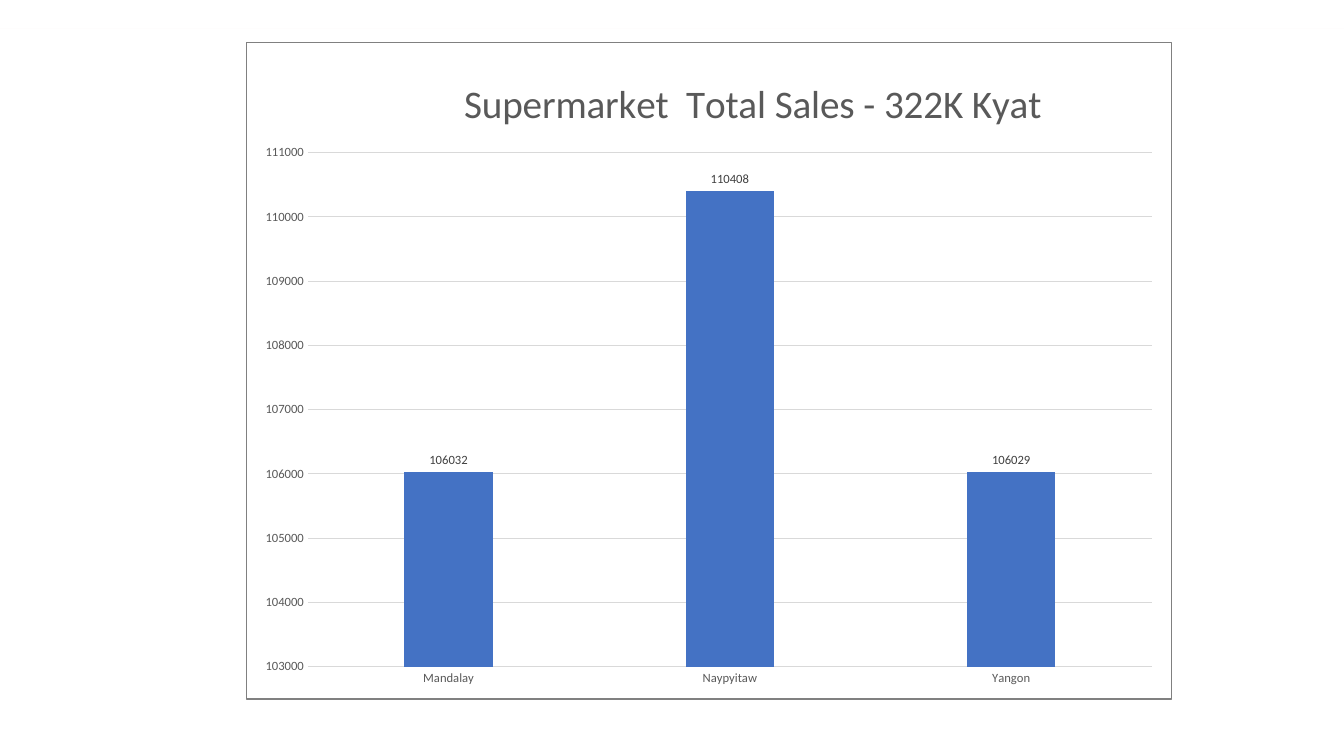
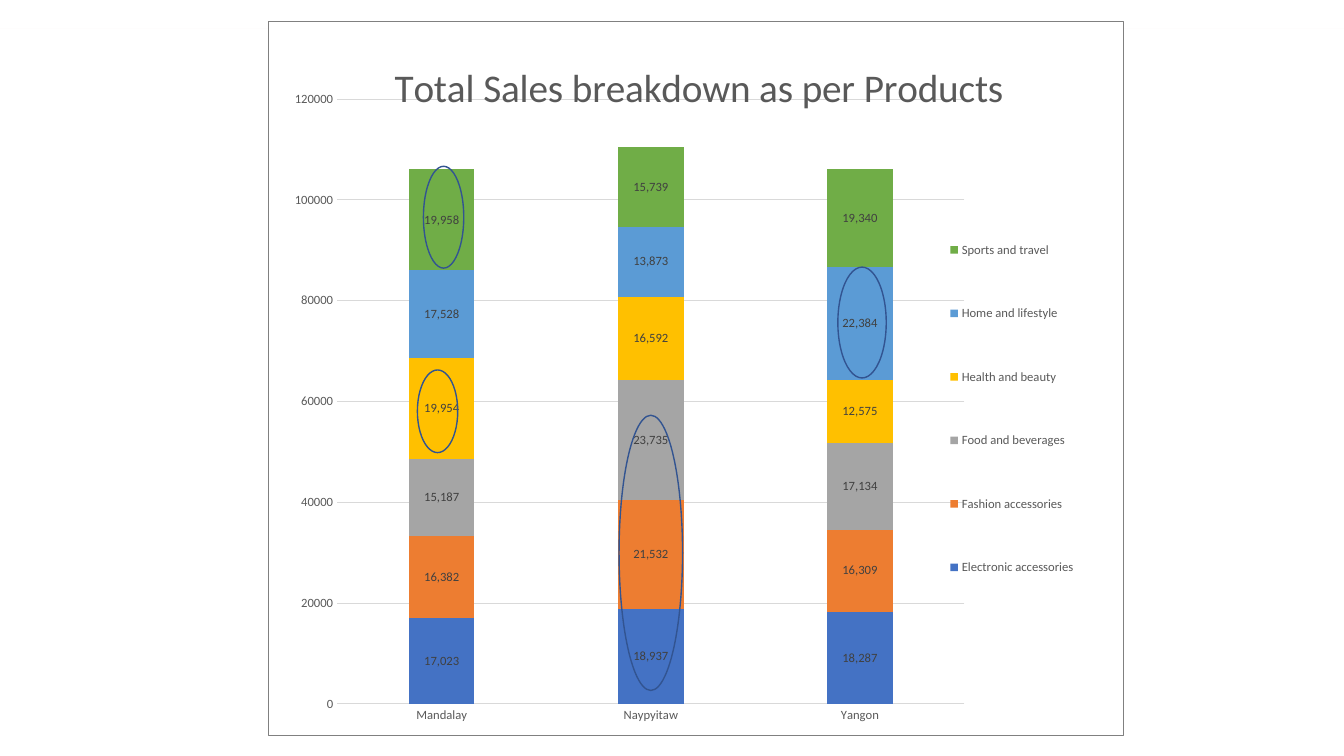
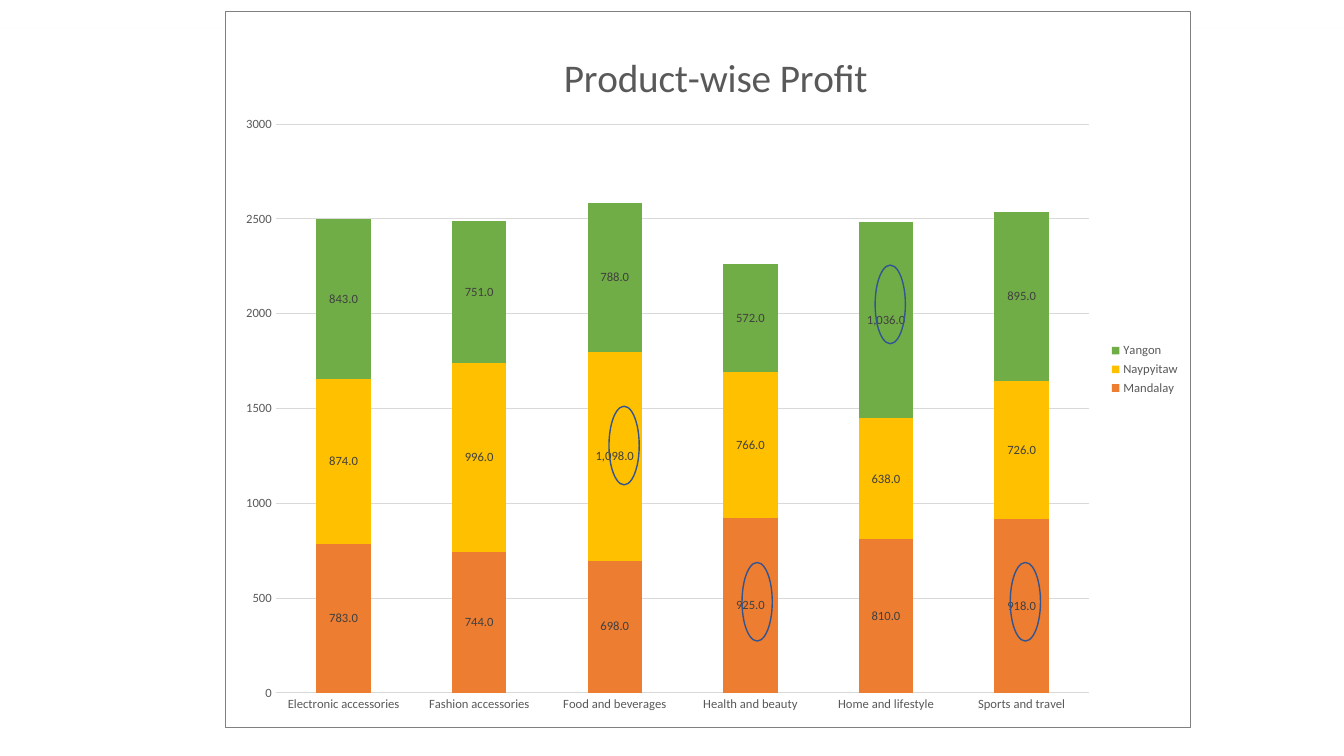
"""Build three slides of supermarket sales and profit charts."""
from pptx import Presentation
from pptx.chart.data import CategoryChartData
from pptx.dml.color import RGBColor
from pptx.enum.chart import (
    XL_CHART_TYPE as ChartType,
    XL_LABEL_POSITION as LabelPos,
    XL_LEGEND_POSITION as LegendPos,
    XL_TICK_MARK as Tick,
)
from pptx.enum.shapes import MSO_SHAPE as Shape
from pptx.oxml import parse_xml
from pptx.oxml.ns import nsdecls, qn
from pptx.util import Pt

PX = 9144
WIDTH, HEIGHT = 1333, 750
FONT = "Calibri"

WHITE = RGBColor(0xFF, 0xFF, 0xFF)
BLACK = RGBColor(0x00, 0x00, 0x00)
BAND = RGBColor(0xFA, 0xF7, 0xF5)
TEXT = RGBColor(0x59, 0x59, 0x59)
LABEL = RGBColor(0x40, 0x40, 0x40)
GRID = RGBColor(0xD9, 0xD9, 0xD9)
BORDER = RGBColor(0x80, 0x80, 0x80)
RING = RGBColor(0x32, 0x54, 0x91)
BLUE = RGBColor(0x44, 0x72, 0xC4)
ORANGE = RGBColor(0xED, 0x7D, 0x31)
GRAY = RGBColor(0xA5, 0xA5, 0xA5)
GOLD = RGBColor(0xFF, 0xC0, 0x00)
SKY = RGBColor(0x5B, 0x9B, 0xD5)
GREEN = RGBColor(0x70, 0xAD, 0x47)

CITIES = ["Mandalay", "Naypyitaw", "Yangon"]
PRODUCTS = [
    "Electronic accessories", "Fashion accessories", "Food and beverages",
    "Health and beauty", "Home and lifestyle", "Sports and travel",
]
PRODUCT_COLORS = [BLUE, ORANGE, GRAY, GOLD, SKY, GREEN]
CITY_COLORS = [ORANGE, GOLD, GREEN]
SALES = [
    (17023, 18937, 18287),
    (16382, 21532, 16309),
    (15187, 23735, 17134),
    (19954, 16592, 12575),
    (17528, 13873, 22384),
    (19958, 15739, 19340),
]
PROFIT = [
    (783, 744, 698, 925, 810, 918),
    (874, 996, 1098, 766, 638, 726),
    (843, 751, 788, 572, 1036, 895),
]

SLIDES = [
    dict(
        title="Supermarket  Total Sales - 322K Kyat", title_at=(209, 27),
        frame=(244, 42, 918, 652), plot_at=(61, 109, 838, 511),
        kind=ChartType.COLUMN_CLUSTERED, gap=219, overlap=-27,
        scale=(103000, 111000, 1000), cats=CITIES,
        series=[("Series 1", (106032, 110408, 106029), BLUE)],
        label_pos=LabelPos.OUTSIDE_END, label_format="0",
        legend=False, legend_at=None, rings=[],
    ),
    dict(
        title="Total Sales breakdown as per Products", title_at=(118, 32),
        frame=(266, 21, 849, 709), plot_at=(68, 77, 623, 601),
        kind=ChartType.COLUMN_STACKED, gap=219, overlap=100,
        scale=(0, 120000, 20000), cats=CITIES,
        series=list(zip(PRODUCTS, SALES, PRODUCT_COLORS)),
        label_pos=LabelPos.CENTER, label_format="#,##0",
        legend=True, legend_at=(671, 171, 134, 427),
        rings=[(614, 412, 63, 273), (414, 367, 40, 82),
               (420, 165, 40, 101), (831, 265, 48, 110)],
    ),
    dict(
        title="Product-wise Profit", title_at=(329, 32),
        frame=(223, 11, 958, 711), plot_at=(50, 112, 808, 565),
        kind=ChartType.COLUMN_STACKED, gap=150, overlap=100,
        scale=(0, 3000, 500), cats=PRODUCTS,
        series=list(zip(CITIES, PROFIT, CITY_COLORS)),
        label_pos=LabelPos.CENTER, label_format="#,##0.0",
        legend=True, legend_at=None,
        rings=[(x, y, 30, 78) for x, y in
               [(868, 263), (736, 558), (604, 403), (1002, 558)]],
    ),
]


def emu(box):
    return [v * PX for v in box]


def style(font, size=9, color=TEXT):
    font.name, font.size, font.bold = FONT, Pt(size), False
    font.color.rgb = color


def write(tf, text, **fmt):
    r = tf.paragraphs[0].add_run()
    r.text = text
    style(r.font, **fmt)


def draw_line(line, color, width=0.75):
    line.color.rgb = color
    line.width = Pt(width)


def add_shape(s, kind, box, fill=None, line=None):
    sp = s.shapes.add_shape(kind, *emu(box))
    sp.shadow.inherit = False
    if fill is None:
        sp.fill.background()
    else:
        sp.fill.solid()
        sp.fill.fore_color.rgb = fill
    if line is None:
        sp.line.fill.background()
    else:
        draw_line(sp.line, line, 1)


def place(el, box, frame, after=None, inner=False):
    for old in el.findall(qn("c:layout")):
        el.remove(old)
    sizes = frame[2:] * 2
    parts = ['<c:layoutTarget val="inner"/>'] if inner else []
    parts += [f'<c:{k}Mode val="edge"/>' for k in "xy"]
    parts += [f'<c:{k} val="{v / size:.4f}"/>'
              for k, v, size in zip("xywh", box, sizes)]
    layout = parse_xml(
        f'<c:layout {nsdecls("c")}><c:manualLayout>{"".join(parts)}'
        '</c:manualLayout></c:layout>')
    el.insert(el.index(el.find(qn(after))) + 1 if after else 0, layout)


def frame_chart(chart_el):
    chart_el.addnext(parse_xml(
        f'<c:spPr {nsdecls("c", "a")}>'
        f'<a:solidFill><a:srgbClr val="{WHITE}"/></a:solidFill>'
        f'<a:ln w="{Pt(0.75)}"><a:solidFill><a:srgbClr val="{BORDER}"/>'
        '</a:solidFill></a:ln></c:spPr>'))


def format_axes(chart, scale):
    cat, val = chart.category_axis, chart.value_axis
    for axis in (cat, val):
        axis.major_tick_mark = axis.minor_tick_mark = Tick.NONE
        style(axis.tick_labels.font)
    draw_line(cat.format.line, GRID)
    val.format.line.fill.background()
    val.has_major_gridlines = True
    draw_line(val.major_gridlines.format.line, GRID)
    val.minimum_scale, val.maximum_scale, val.major_unit = scale
    val.tick_labels.number_format = "0"
    val.tick_labels.number_format_is_linked = False


def format_series(ser, color, pos, number_format):
    ser.format.fill.solid()
    ser.format.fill.fore_color.rgb = color
    ser.invert_if_negative = False
    labels = ser.data_labels
    labels.show_value = True
    labels.position = pos
    labels.number_format = number_format
    labels.number_format_is_linked = False
    style(labels.font, color=LABEL)


def add_chart(s, d):
    data = CategoryChartData()
    data.categories = d["cats"]
    for name, values, _ in d["series"]:
        data.add_series(name, values)
    frame = d["frame"]
    chart = s.shapes.add_chart(d["kind"], *emu(frame), data).chart
    style(chart.font, size=10, color=BLACK)
    chart_el = chart._chartSpace.find(qn("c:chart"))
    frame_chart(chart_el)

    chart.has_title = True
    write(chart.chart_title.text_frame, d["title"], size=28)
    chart.chart_title.include_in_layout = False
    place(chart_el.find(qn("c:title")), d["title_at"], frame, after="c:tx")
    place(chart_el.find(qn("c:plotArea")), d["plot_at"], frame, inner=True)

    chart.has_legend = d["legend"]
    if d["legend"]:
        chart.legend.position = LegendPos.RIGHT
        chart.legend.include_in_layout = False
        style(chart.legend.font)
    if d["legend_at"]:
        place(chart_el.find(qn("c:legend")), d["legend_at"], frame,
              after="c:legendPos")

    format_axes(chart, d["scale"])
    plot = chart.plots[0]
    plot.vary_by_categories = False
    plot.gap_width, plot.overlap = d["gap"], d["overlap"]
    for ser, (_, _, color) in zip(plot.series, d["series"]):
        format_series(ser, color, d["label_pos"], d["label_format"])


def main():
    prs = Presentation()
    prs.slide_width, prs.slide_height = emu((WIDTH, HEIGHT))
    for d in SLIDES:
        s = prs.slides.add_slide(prs.slide_layouts[6])
        add_shape(s, Shape.RECTANGLE, (0, 28, WIDTH, 0), fill=BAND)
        add_chart(s, d)
        for ring in d["rings"]:
            add_shape(s, Shape.OVAL, ring, line=RING)
    prs.save("out.pptx")


if __name__ == "__main__":
    main()
